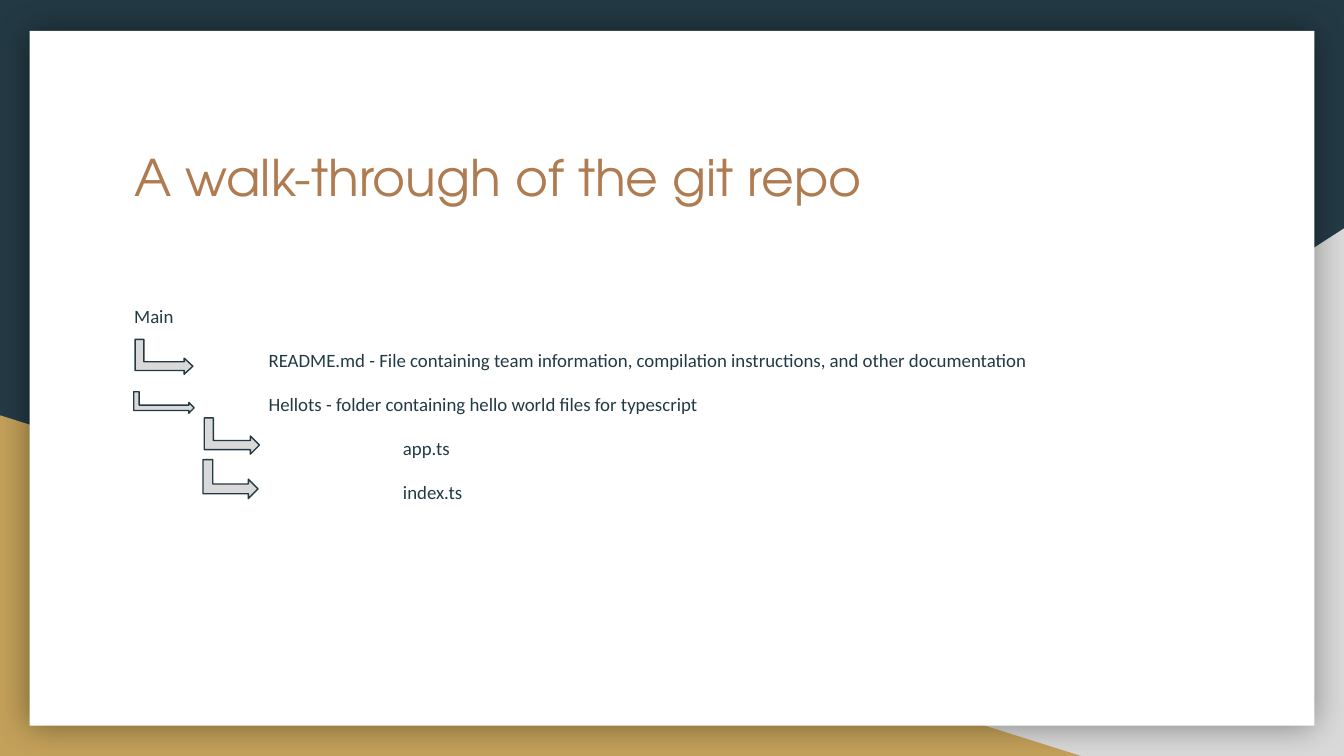
"""Build a slide that walks through the folder tree of a git repository."""
import pptx
import pptx.dml.color
import pptx.enum.shapes
import pptx.enum.text
import pptx.oxml
import pptx.oxml.ns
import pptx.util

NAVY = pptx.dml.color.RGBColor(0x23, 0x3A, 0x44)
GREY = pptx.dml.color.RGBColor(0xD9, 0xD9, 0xD9)
GOLD = pptx.dml.color.RGBColor(0xC4, 0xA1, 0x5A)
WHITE = pptx.dml.color.RGBColor(0xFF, 0xFF, 0xFF)
COPPER = pptx.dml.color.RGBColor(0xAF, 0x7B, 0x51)
SHAPE = pptx.enum.shapes.MSO_SHAPE

deck = pptx.Presentation()
deck.slide_width = pptx.util.Inches(10)
deck.slide_height = deck.slide_width * 9 // 16
page = deck.slides.add_slide(deck.slide_layouts[5])
page.background.fill.solid()
page.background.fill.fore_color.rgb = NAVY
column = row = deck.slide_width / 10


def add_filled(kind, left, top, width, height, color):
    """Add a borderless shape placed in columns and rows."""
    shape = page.shapes.add_shape(
        kind, int(left * column), int(top * row), int(width * column), int(height * row))
    shape.shadow.inherit = False
    shape.fill.solid()
    shape.fill.fore_color.rgb = color
    shape.line.fill.background()
    return shape


def write(paragraph, text, font, size, color, spacing):
    """Add one styled run to a left-aligned paragraph."""
    paragraph.alignment = pptx.enum.text.PP_ALIGN.LEFT
    paragraph.line_spacing = spacing
    span = paragraph.add_run()
    span.text = text
    span.font.name = font
    span.font.size = pptx.util.Pt(size)
    span.font.color.rgb = color


grey_corner = add_filled(SHAPE.RIGHT_TRIANGLE, 3.92, 1.7, 6.08, 3.93, GREY)
grey_corner.element.spPr.xfrm.set("flipH", "1")
add_filled(SHAPE.RIGHT_TRIANGLE, 0, 3.09, 8.06, 2.54, GOLD)
card = add_filled(SHAPE.RECTANGLE, 0.22, 0.23, 9.56, 5.17, WHITE)
effects = card.element.spPr.find(pptx.oxml.ns.qn("a:effectLst"))
effects.append(pptx.oxml.parse_xml(
    f'<a:outerShdw {pptx.oxml.ns.nsdecls("a")} blurRad="{pptx.util.Pt(18)}" dist="0" '
    'algn="ctr" rotWithShape="0"><a:srgbClr val="000000"><a:alpha val="40000"/>'
    '</a:srgbClr></a:outerShdw>'))

title = page.shapes.title
card.element.addnext(title.element)
title.left, title.top = int(0.9 * column), int(0.92 * row)
title.width, title.height = int(8.21 * column), int(1.04 * row)
tree = page.shapes.add_textbox(
    title.left, int(2.18 * row), title.width, int(2.68 * row))

for box in (title, tree):
    frame = box.text_frame
    frame.word_wrap = True
    frame.auto_size = pptx.enum.text.MSO_AUTO_SIZE.NONE
    frame.vertical_anchor = pptx.enum.text.MSO_ANCHOR.TOP
    frame.margin_left = frame.margin_right = pptx.util.Inches(0.1)
    frame.margin_top = frame.margin_bottom = pptx.util.Inches(0.1)

heading = title.text_frame.paragraphs[0]
heading.space_before = pptx.util.Pt(12)
write(heading, "A walk-through of the git repo", "TeX Gyre Adventor", 27, COPPER, 1.15)

entries = [
    (0, "Main"),
    (1, "README.md - File containing team information, compilation instructions, "
        "and other documentation"),
    (1, "Hellots - folder containing hello world files for typescript"),
    (2, "app.ts"),
    (2, "index.ts"),
]
for number, (depth, text) in enumerate(entries):
    frame = tree.text_frame
    para = frame.add_paragraph() if number else frame.paragraphs[0]
    para.space_before = pptx.util.Pt(12 if number else 0)
    properties = para._p.get_or_add_pPr()
    properties.set("marL", str(int(depth * column)))
    properties.set("indent", "0")
    write(para, text, "Calibri", 10.1, NAVY, 0.95)

branches = [
    (1.09, 2.44, 0.26, 0.43, 0.23),
    (1.14, 2.77, 0.16, 0.45, 0.25),
    (1.59, 3.04, 0.27, 0.41, 0.25),
    (1.57, 3.36, 0.29, 0.41, 0.25),
]
for left, top, width, height, head in branches:
    arrow = add_filled(SHAPE.BENT_UP_ARROW, left, top, width, height, GREY)
    arrow.rotation = 90
    arrow.adjustments[1] = head
    arrow.line.color.rgb = NAVY
    arrow.line.width = pptx.util.Pt(0.75)

deck.save("out.pptx")
